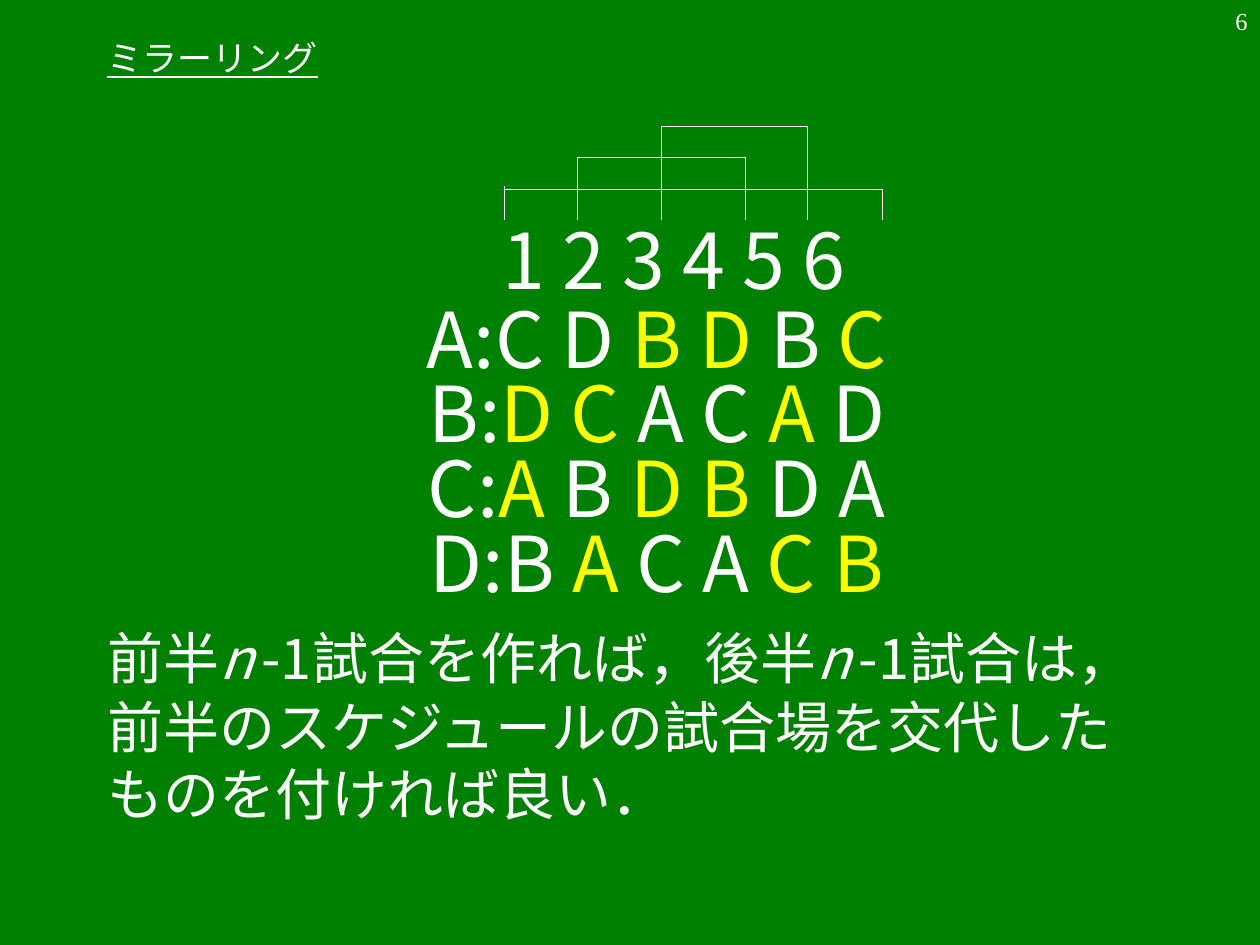
from dataclasses import dataclass

import pptx
import pptx.dml.color
import pptx.enum.shapes
import pptx.enum.text
import pptx.oxml
import pptx.oxml.ns
import pptx.util

ALIGN = pptx.enum.text.PP_ALIGN
ANCHOR = pptx.enum.text.MSO_ANCHOR


@dataclass(frozen=True)
class Theme:
    background: str = "008000"
    text: str = "FFFFFF"
    highlight: str = "FFFF00"
    sans: str = "Noto Sans CJK JP"
    serif: str = "Times New Roman"
    schedule_size: int = 44
    body_size: int = 32
    title_size: int = 20
    gap_size: int = 20
    number_size: int = 14


def px(length):
    return pptx.util.Emu(round(length * 914400 / 126))


def rgb(color):
    return pptx.dml.color.RGBColor.from_string(color)


class SlideBuilder:
    def __init__(self, presentation, theme):
        self.theme = theme
        self.slide = presentation.slides.add_slide(presentation.slide_layouts[6])
        fill = self.slide.background.fill
        fill.solid()
        fill.fore_color.rgb = rgb(theme.background)

    def box(self, left, top, width, height, anchor=ANCHOR.TOP):
        shape = self.slide.shapes.add_textbox(px(left), px(top), px(width), px(height))
        frame = shape.text_frame
        frame.word_wrap = True
        frame.vertical_anchor = anchor
        return frame

    def paragraph(self, frame, align=ALIGN.LEFT, spacing=1.0, before=0, margin=0, indent=0):
        first = frame.paragraphs[0]
        paragraph = frame.add_paragraph() if first.runs else first
        paragraph.alignment = align
        paragraph.line_spacing = spacing
        paragraph.space_before = pptx.util.Pt(before)
        properties = paragraph._p.get_or_add_pPr()
        properties.set("marL", str(px(margin)))
        properties.set("indent", str(px(indent)))
        return paragraph

    def run(self, paragraph, text, size, color=None, font=None, italic=False, underline=False):
        run = paragraph.add_run()
        run.text = text
        run.font.size = pptx.util.Pt(size)
        run.font.name = font or self.theme.sans
        run.font.color.rgb = rgb(color or self.theme.text)
        run.font.italic = italic
        run.font.underline = underline
        east_asian = pptx.oxml.parse_xml(
            f'<a:ea {pptx.oxml.ns.nsdecls("a")} typeface="{self.theme.sans}"/>'
        )
        run.font._element.find(pptx.oxml.ns.qn("a:latin")).addnext(east_asian)

    def schedule_row(self, frame, marked_text, **layout):
        paragraph = self.paragraph(frame, ALIGN.CENTER, **layout)
        for index, text in enumerate(marked_text.split("|")):
            if text:
                color = self.theme.highlight if index % 2 else self.theme.text
                self.run(paragraph, text, self.theme.schedule_size, color)

    def line(self, group, start, end):
        connector = group.shapes.add_connector(
            pptx.enum.shapes.MSO_CONNECTOR.STRAIGHT, *map(px, start + end)
        )
        connector.line.color.rgb = rgb(self.theme.text)
        element = connector._element
        element.remove(element.find(pptx.oxml.ns.qn("p:style")))
        element.spPr.append(
            pptx.oxml.parse_xml(f'<a:effectLst {pptx.oxml.ns.nsdecls("a")}/>')
        )

    def bracket(self, group, left, right, top, left_top, bottom):
        self.line(group, (left, top), (right, top))
        self.line(group, (left, left_top), (left, bottom))
        self.line(group, (right, top), (right, bottom))


def main():
    presentation = pptx.Presentation()
    presentation.slide_width = px(1260)
    presentation.slide_height = px(945)
    theme = Theme()
    builder = SlideBuilder(presentation, theme)

    content = builder.box(95, 206, 1124, 666)
    builder.schedule_row(content, "1 2 3 4 5 6", margin=34)
    rows = [
        "A:C D |B D| B |C",
        "B:|D C| A C |A| D",
        "C:|A| B |D B| D A",
        "D:B |A| C A |C B",
    ]
    for row in rows:
        builder.schedule_row(content, row, spacing=0.6, before=11, margin=48, indent=-48)

    body_lines = [
        (1.1, ["前半", "n", "-1試合を作れば，後半", "n", "-1試合は，"]),
        (0.8, ["前半のスケジュールの試合場を交代した"]),
        (0.8, ["ものを付ければ良い．"]),
    ]
    for spacing, pieces in body_lines:
        paragraph = builder.paragraph(content, spacing=spacing, before=8, margin=48, indent=-48)
        for piece in pieces:
            variable = piece == "n"
            builder.run(paragraph, piece, theme.body_size, italic=variable)
            if variable:
                builder.run(paragraph, " ", theme.gap_size, italic=True)

    title = builder.paragraph(builder.box(95, 42, 809, 31, ANCHOR.MIDDLE))
    builder.run(title, "ミラーリング", theme.title_size, font=theme.serif, underline=True)

    group = builder.slide.shapes.add_group_shape()
    brackets = [(504, 882, 189, 187), (578, 746, 158, 158), (662, 808, 126, 126)]
    for left, right, top, left_top in brackets:
        builder.bracket(group, left, right, top, left_top, 220)

    number = builder.paragraph(builder.box(998, 0, 262, 63), ALIGN.RIGHT)
    builder.run(number, "6", theme.number_size, font=theme.serif)

    presentation.save("out.pptx")


if __name__ == "__main__":
    main()
